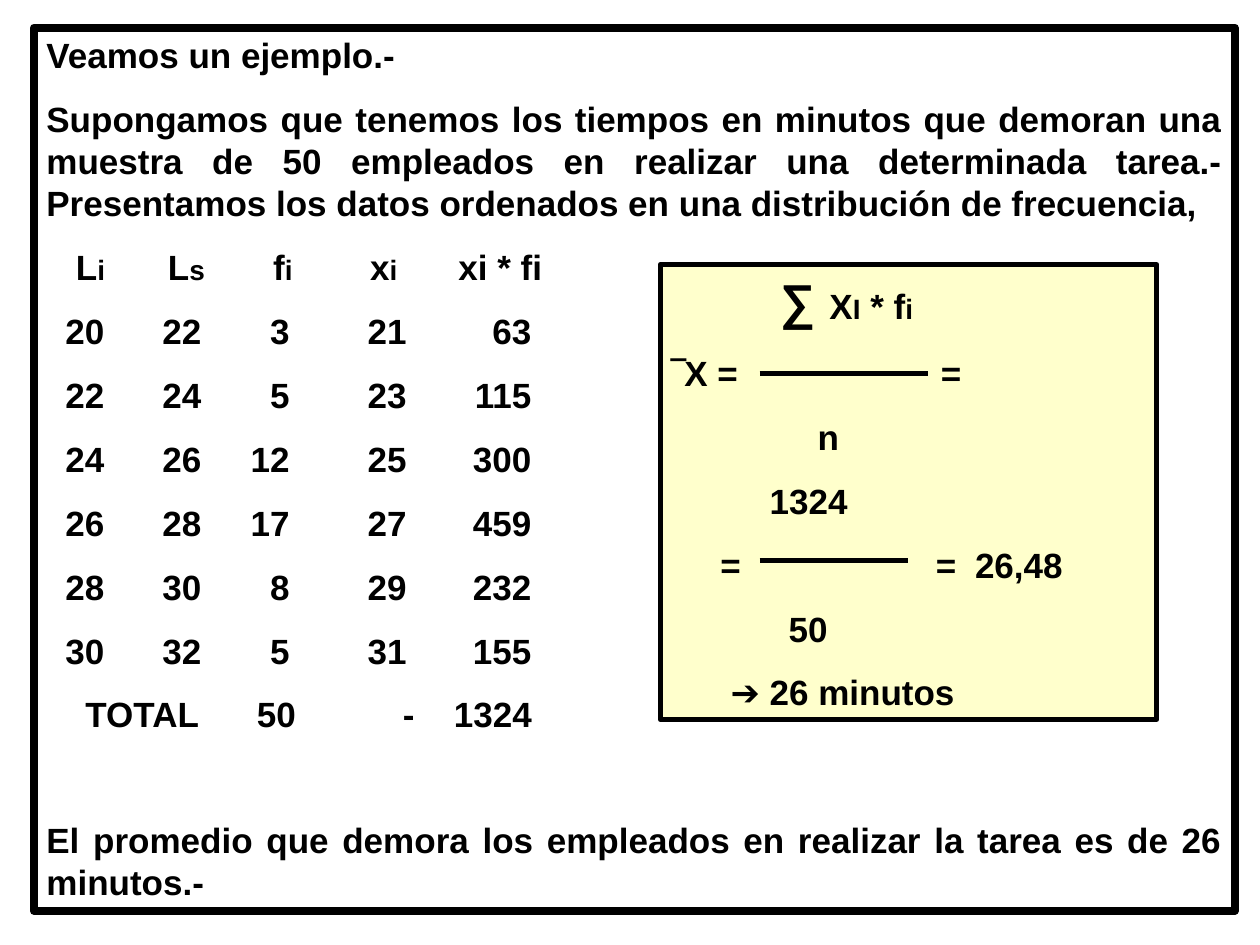
from lxml import etree
from pptx import Presentation
from pptx.dml.color import RGBColor as Rgb
from pptx.enum.shapes import MSO_CONNECTOR as Connector, MSO_SHAPE as Shape
from pptx.enum.text import MSO_ANCHOR as Anchor, PP_ALIGN as Align
from pptx.oxml.ns import qn
from pptx.util import Inches, Pt

COLORS = {"ink": "000000", "note": "FFFFCC"}
WIDTH, HEIGHT = Inches(10), Inches(7.5)
COL, ROW = WIDTH / 100, HEIGHT / 100  # grid of 100 columns by 100 rows
FRAME = (2.7, 2.93, 95.3, 93.47)
FORMULA = (52.4, 28, 39.4, 48.13)

TEXT = {"name": "Arial", "bold": True}
BODY, SUB, SIGMA = 20, 16, 28
GAP = 12.5
FRAME_FORMAT = {
    "word_wrap": True, "vertical_anchor": Anchor.TOP,
    "margin_left": Inches(0.1), "margin_right": Inches(0.1),
    "margin_top": Inches(0.05), "margin_bottom": Inches(0.05),
}

# Tab stops, in grid columns from the left edge of the text
HEADER_STOPS = (2.35, 9.65, 18, 25.7, 32.7)
VALUE_STOPS = (4.6, 12.3, 19.3, 28.6, 38.5)
TOTAL_STOPS = (3.1, 16.7, 28.3, 32.35)

INTRO = (
    "Veamos un ejemplo.-",
    "Supongamos que tenemos los tiempos en minutos que demoran una muestra "
    "de 50 empleados en realizar una determinada tarea.- Presentamos los "
    "datos ordenados en una distribución de frecuencia,",
)
HEADER = [("\tL", BODY), ("i", SUB), ("\tL", BODY), ("s", SUB), ("\tf", BODY),
          ("i", SUB), ("\tx", BODY), ("i", SUB), ("\txi * fi", BODY)]
FREQUENCIES = (
    (20, 22, 3, 21, 63),
    (22, 24, 5, 23, 115),
    (24, 26, 12, 25, 300),
    (26, 28, 17, 27, 459),
    (28, 30, 8, 29, 232),
    (30, 32, 5, 31, 155),
)
TOTAL = ("TOTAL", 50, "-", 1324)
CONCLUSION = ("El promedio que demora los empleados en realizar la tarea "
              "es de 26 minutos.-")

# Each formula line: its runs and its tab stops
FORMULA_LINES = (
    ([("\t∑ ", SIGMA), ("X", BODY), ("I", SUB), (" * f", BODY), ("i", SUB)], (8.6,)),
    ([("‾X =\t=", BODY)], (21.3,)),
    ([("\tn", BODY)], (11.5,)),
    ([("\t1324", BODY)], (7.7,)),
    ([("\t=\t=\t26,48", BODY)], (3.8, 20.9, 24)),
    ([("\t50", BODY)], (9.2,)),
    ([("\t➔ 26 minutos", BODY)], (4.6,)),
)
# Fraction bars, as shares of the formula box: start, end, height
FRACTION_BARS = ((0.2, 0.54, 0.24), (0.2, 0.5, 0.65))


def color(key):
    return Rgb.from_string(COLORS[key])


def tabbed(values):
    return [("".join(f"\t{value}" for value in values), BODY)]


def add_panel(slide, box, border, fill=None):
    left, top, width, height = box
    panel = slide.shapes.add_shape(Shape.RECTANGLE, round(left * COL), round(top * ROW),
                                   round(width * COL), round(height * ROW))
    panel.shadow.inherit = False
    if fill:
        panel.fill.solid()
        panel.fill.fore_color.rgb = color(fill)
    else:
        panel.fill.background()
    panel.line.color.rgb = color("ink")
    panel.line.width = Pt(border)
    for key, value in FRAME_FORMAT.items():
        setattr(panel.text_frame, key, value)
    return panel.text_frame


def add_line(text_frame, runs, stops=(), stop_side="l", align=Align.LEFT, before=GAP):
    first = text_frame.paragraphs[0]
    is_first = not first.runs
    line = first if is_first else text_frame.add_paragraph()
    line.alignment = align
    if stops:
        tabs = etree.SubElement(line._p.get_or_add_pPr(), qn("a:tabLst"))
        for stop in stops:
            etree.SubElement(tabs, qn("a:tab"), pos=str(round(stop * COL)), algn=stop_side)
    line.space_before = Pt(0 if is_first else before)
    for text, size in runs:
        run = line.add_run()
        run.text = text
        for key, value in {**TEXT, "size": Pt(size)}.items():
            setattr(run.font, key, value)
        run.font.color.rgb = color("ink")


def add_example(slide, box):
    example = add_panel(slide, box, 4.5)
    for sentence in INTRO:
        add_line(example, [(sentence, BODY)], align=Align.JUSTIFY)
    # Frequency distribution
    add_line(example, HEADER, HEADER_STOPS)
    for values in FREQUENCIES:
        add_line(example, tabbed(values), VALUE_STOPS, "r")
    add_line(example, tabbed(TOTAL), TOTAL_STOPS)
    # Conclusion, one line further down
    add_line(example, [(CONCLUSION, BODY)], align=Align.JUSTIFY, before=48)


def add_formula(slide, box):
    formula = add_panel(slide, box, 3, "note")
    for runs, stops in FORMULA_LINES:
        add_line(formula, runs, stops)
    # Fraction bars
    left, top, width, height = box
    for start, end, level in FRACTION_BARS:
        y = round((top + level * height) * ROW)
        bar = slide.shapes.add_connector(
            Connector.STRAIGHT, round((left + start * width) * COL), y,
            round((left + end * width) * COL), y)
        bar.line.color.rgb = color("ink")
        bar.line.width = Pt(3)
        etree.SubElement(bar._element.spPr, qn("a:effectLst"))


def main():
    deck = Presentation()
    deck.slide_width, deck.slide_height = WIDTH, HEIGHT
    slide = deck.slides.add_slide(deck.slide_layouts[6])
    add_example(slide, FRAME)
    add_formula(slide, FORMULA)
    deck.save("out.pptx")


if __name__ == "__main__":
    main()
